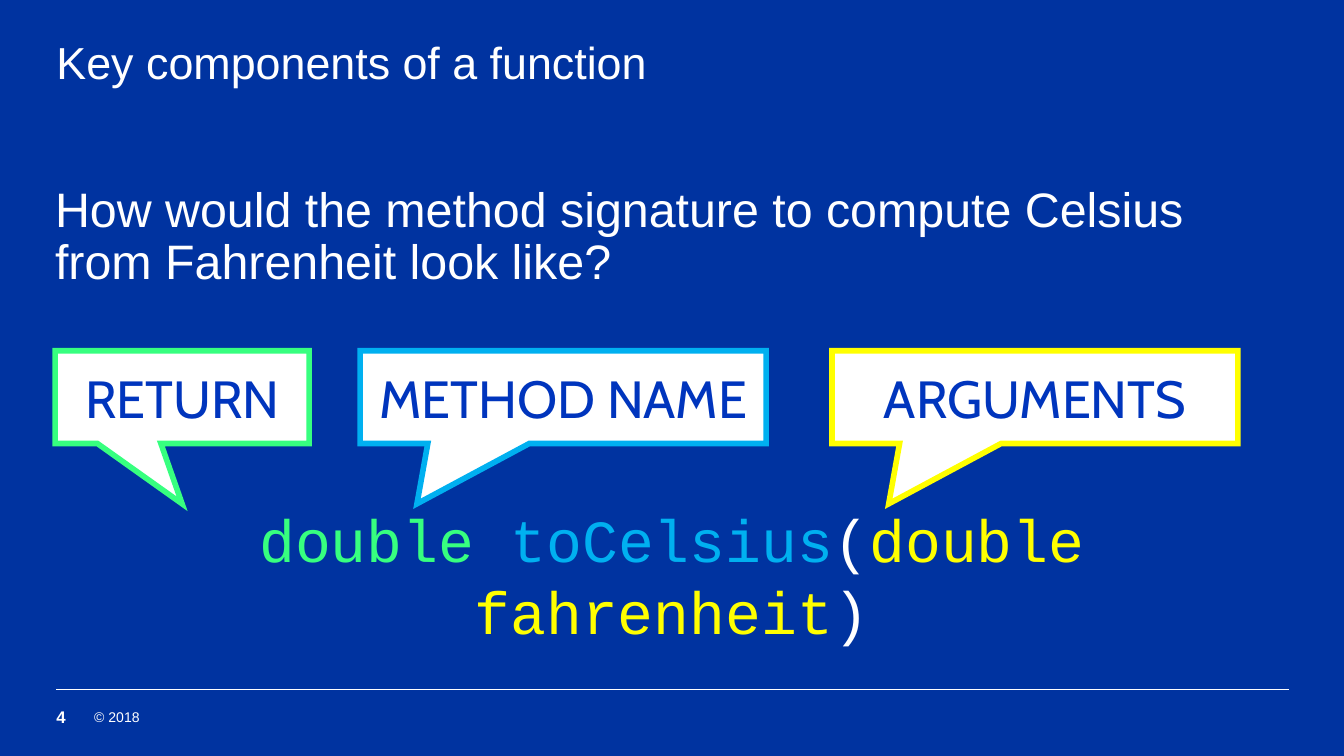
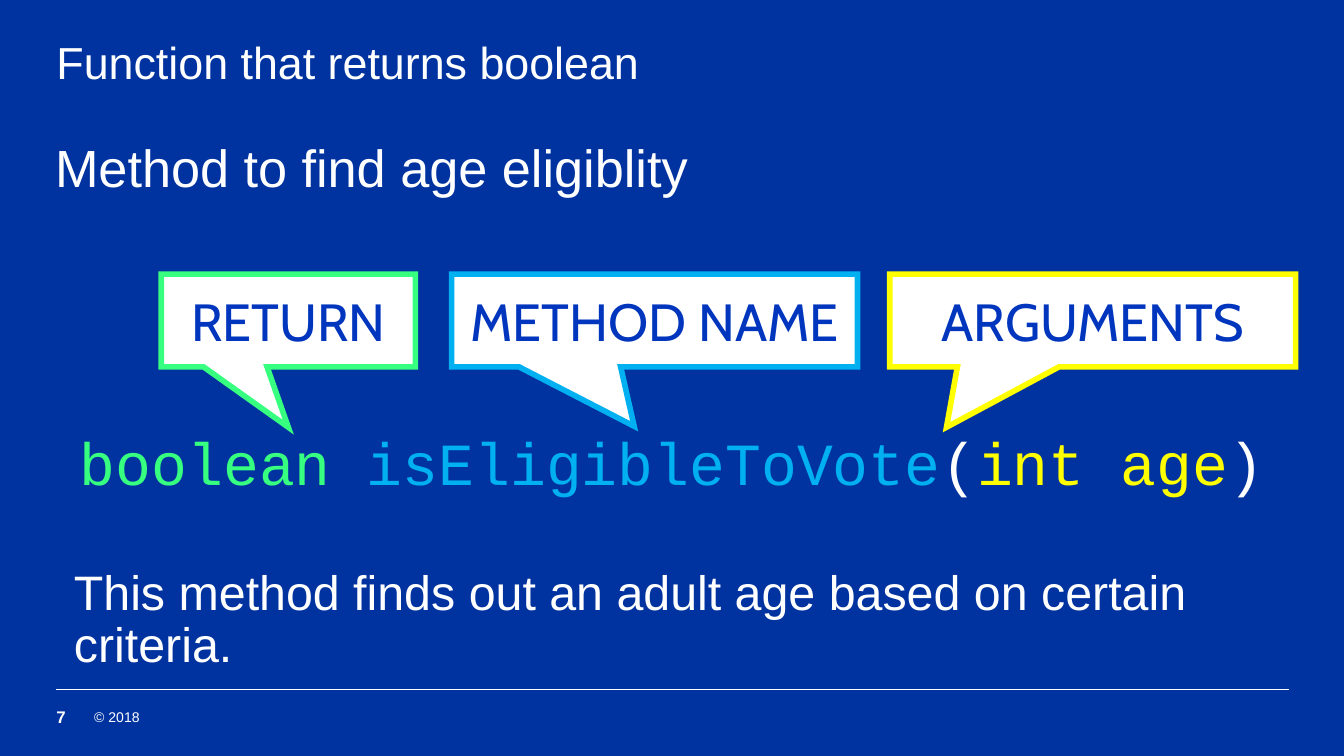
from lxml.etree import SubElement
from pptx import Presentation
from pptx.dml.color import RGBColor
from pptx.enum.shapes import MSO_CONNECTOR, MSO_SHAPE
from pptx.enum.text import MSO_ANCHOR, MSO_AUTO_SIZE, PP_ALIGN
from pptx.oxml.ns import qn
from pptx.util import Inches, Pt

BLUE, INK, WHITE = "0033A0", "0035BD", "FFFFFF"
GREEN, CYAN, YELLOW = "37FF7F", "00B0F0", "FFFF00"
TITLE_FONT, LABEL_FONT, CODE_FONT = "Arial", "Cabin", "Courier New"
LEFT, WIDTH = 0.41, 9.18
CALLOUT_HEIGHT = 0.69

CALLOUTS = {
    "RETURN": (1.89, GREEN),
    "METHOD NAME": (3.02, CYAN),
    "ARGUMENTS": (3.02, YELLOW),
}

SLIDES = [
    {
        "number": "4",
        "title": "Key components of a function",
        "statements": [
            (LEFT, 1.38, 25.9, 0.9, "How would the method signature to compute "
                                    "Celsius from Fahrenheit look like?"),
        ],
        "callout_top": 2.61,
        "callouts": [
            ("RETURN", 0.41, (0, 1.15)),
            ("METHOD NAME", 2.68, (-0.36, 1.15)),
            ("ARGUMENTS", 6.19, (-0.36, 1.15)),
        ],
        "code_top": 3.74,
        "signature": ("double ", "toCelsius", "double fahrenheit"),
    },
    {
        "number": "7",
        "title": "Function that returns boolean",
        "statements": [
            (LEFT, 1.01, 28, 1.0, "Method to find age eligiblity"),
            (0.55, 4.23, 25.9, 0.9, "This method finds out an adult age based "
                                    "on certain criteria."),
        ],
        "callout_top": 2.04,
        "callouts": [
            ("RETURN", 1.2, (0, 1.15)),
            ("METHOD NAME", 3.36, (-0.05, 1.14)),
            ("ARGUMENTS", 6.62, (-0.36, 1.15)),
        ],
        "code_top": 3.17,
        "signature": ("boolean ", "isEligibleToVote", "int age"),
    },
]


def color(value):
    """Turn a hex string into a colour."""
    return RGBColor.from_string(value)


def write(shape, spans, font, size, align=PP_ALIGN.LEFT, anchor=MSO_ANCHOR.TOP,
          inset=0, bold=False, spacing=None, before=0, after=0):
    """Write one paragraph of (text, colour) spans into a shape."""
    frame = shape.text_frame
    frame.word_wrap = True
    frame.auto_size = MSO_AUTO_SIZE.NONE
    frame.vertical_anchor = anchor
    frame.margin_left = frame.margin_right = Inches(inset)
    frame.margin_top = frame.margin_bottom = Inches(inset / 2)
    para = frame.paragraphs[0]
    para.alignment = align
    para.line_spacing = spacing
    para.space_before, para.space_after = Pt(before), Pt(after)
    for text, hue in spans:
        span = para.add_run()
        span.text = text
        span.font.name, span.font.size = font, Pt(size)
        span.font.bold = bold
        span.font.color.rgb = color(hue)


def add_text(page, left, top, width, height, spans, font, size, **style):
    """Add a text box without insets."""
    box = page.shapes.add_textbox(Inches(left), Inches(top), Inches(width), Inches(height))
    write(box, spans, font, size, **style)


def add_footer(page, number):
    """Add the footer rule, copyright and page number."""
    rule = page.shapes.add_connector(
        MSO_CONNECTOR.STRAIGHT, Inches(0.42), Inches(5.13), Inches(9.59), Inches(5.13))
    rule.line.color.rgb = color(WHITE)
    rule.line.width = Pt(0.5)
    SubElement(rule.element.spPr, qn("a:effectLst"))
    for left, width, text, size, bold in [(0.7, 5, "© 2018", 7.5, False),
                                          (0.42, 0.25, number, 9, True)]:
        add_text(page, left, 5.25, width, 0.17, [(text, WHITE)], TITLE_FONT, size,
                 anchor=MSO_ANCHOR.MIDDLE, bold=bold)


def add_title(page, text):
    """Place and fill the title placeholder."""
    title = page.shapes.title
    title.left, title.top = Inches(0.42), Inches(0.3)
    title.width, title.height = Inches(9.17), Inches(0.87)
    write(title, [(text, WHITE)], TITLE_FONT, 24, spacing=0.9)


def add_callout(page, label, left, top, tip):
    """Add a labelled, sharp-cornered callout whose tail ends at the given tip."""
    width, edge = CALLOUTS[label]
    callout = page.shapes.add_shape(
        MSO_SHAPE.RECTANGULAR_CALLOUT, Inches(left), Inches(top),
        Inches(width), Inches(CALLOUT_HEIGHT))
    callout.adjustments[0], callout.adjustments[1] = tip
    callout.shadow.inherit = False
    callout.fill.solid()
    callout.fill.fore_color.rgb = color(WHITE)
    callout.line.color.rgb = color(edge)
    callout.line.width = Pt(3)
    SubElement(callout.element.spPr.find(qn("a:ln")), qn("a:miter"), lim="800000")
    write(callout, [(label, INK)], LABEL_FONT, 28, align=PP_ALIGN.CENTER,
          anchor=MSO_ANCHOR.MIDDLE, inset=0.1)


def add_signature(page, top, signature):
    """Add the colour-coded method signature."""
    returns, name, arguments = signature
    spans = [(returns, GREEN), (name, CYAN), ("(", WHITE), (arguments, YELLOW), (")", WHITE)]
    add_text(page, LEFT, top, WIDTH, 0.7, spans, CODE_FONT, 32,
             align=PP_ALIGN.CENTER, before=6, after=12)


def build_slide(deck, content):
    """Build one slide from its content."""
    page = deck.slides.add_slide(deck.slide_layouts[5])
    page.background.fill.solid()
    page.background.fill.fore_color.rgb = color(BLUE)
    add_footer(page, content["number"])
    add_title(page, content["title"])
    add_signature(page, content["code_top"], content["signature"])
    for label, left, tip in content["callouts"]:
        add_callout(page, label, left, content["callout_top"], tip)
    for left, top, size, spacing, text in content["statements"]:
        add_text(page, left, top, 9.17, 0.79, [(text, WHITE)], TITLE_FONT, size,
                 spacing=spacing, before=6)


def main():
    """Build and save the widescreen deck."""
    deck = Presentation()
    deck.slide_width = Inches(10)
    deck.slide_height = deck.slide_width * 9 // 16
    for content in SLIDES:
        build_slide(deck, content)
    deck.save("out.pptx")


if __name__ == "__main__":
    main()
